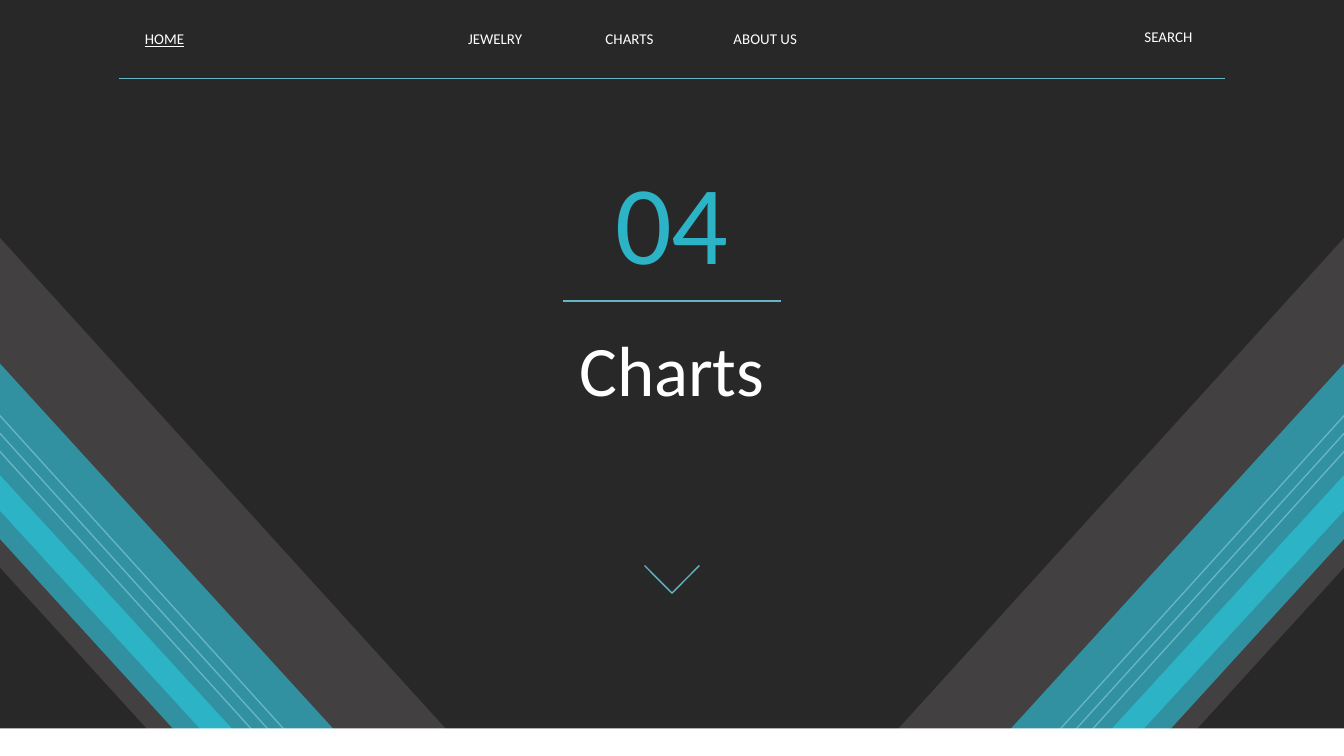
from lxml.etree import SubElement
from pptx import Presentation
from pptx.dml.color import RGBColor
from pptx.enum.shapes import MSO_CONNECTOR, MSO_SHAPE
from pptx.enum.text import MSO_ANCHOR as Anchor, PP_ALIGN as Align
from pptx.oxml.ns import qn
from pptx.util import Pt

WIDTH, HEIGHT = 720, 405
DARK, GREY, WHITE = "282828", "434042", "FFFFFF"
TEAL, CYAN, PALE = "3291A0", "2DB3C6", "65B5C5"
color = RGBColor.from_string

deck = Presentation()
deck.slide_width, deck.slide_height = Pt(WIDTH), Pt(HEIGHT)
page = deck.slides.add_slide(deck.slide_layouts[6])
page.background.fill.solid()
page.background.fill.fore_color.rgb = color(DARK)


def add_line(start, end):
    line = page.shapes.add_connector(
        MSO_CONNECTOR.STRAIGHT, *[Pt(value) for value in (*start, *end)])
    line.line.color.rgb = color(PALE)
    line.line.width = Pt(0.75)
    SubElement(line._element.spPr, qn("a:effectLst"))


def add_outline(points, closed):
    corners = [(Pt(x), Pt(y)) for x, y in points]
    builder = page.shapes.build_freeform(*corners[0])
    builder.add_line_segments(corners[1:], close=closed)
    shape = builder.convert_to_shape()
    shape.shadow.inherit = False
    return shape


# Corner stripes, given for the right side and mirrored to the left
cyan_band = [(671, 308.2), (693.4, 302.4), (791.3, 195.8), (787.7, 180.7)]
bands = [
    (GREY, [(763.2, 79.9), (797, 219.6), (640.8, 391), (436.3, 439.9)]),
    (TEAL, [(582.5, 404.6), (622.8, 395.3), (794.2, 207.4), (787.7, 180.7)]),
    (TEAL, [(513.4, 421.2), (605.5, 398.9), (791.3, 195.8), (776.2, 133.2)]),
]
stripe_lines = [
    [(810, 142.6), (532.8, 448.6)],
    [(807.8, 135.4), (522, 450.7)],
    [(805, 128.9), (507.6, 457.2)],
]
cyan_bands = [(CYAN, [(x + dx, y + dy) for x, y in cyan_band])
              for dx, dy in [(0, 0), (-23, 25.2), (-93.6, 102.2)]]

for mirrored in (False, True):
    def place(points):
        return [(WIDTH - x if mirrored else x, y) for x, y in points]

    for fill, points in bands:
        band = add_outline(place(points), True)
        band.fill.solid()
        band.fill.fore_color.rgb = color(fill)
        band.line.fill.background()
    for points in stripe_lines:
        add_line(*place(points))
    for fill, points in cyan_bands:
        band = add_outline(place(points), True)
        band.fill.solid()
        band.fill.fore_color.rgb = color(fill)
        band.line.fill.background()

# Header rule, footer bar, title rule and down arrow
add_line((64, 42), (656, 42))
footer = page.shapes.add_shape(
    MSO_SHAPE.RECTANGLE, 0, Pt(390.2), Pt(WIDTH), Pt(HEIGHT - 390.2))
footer.shadow.inherit = False
footer.fill.solid()
footer.fill.fore_color.rgb = color(WHITE)
footer.line.fill.background()
add_line((301.7, 161.3), (418.3, 161.3))
chevron = add_outline([(345.3, 303), (360, 317.8), (374.7, 303)], False)
chevron.fill.background()
chevron.line.color.rgb = color(PALE)
chevron.line.width = Pt(0.75)

# Text: wording, left, top, width, height, size, colour, side inset, anchor
menu = [("HOME", 56.2), ("JEWELRY", 233.3), ("CHARTS", 305.3), ("ABOUT US", 378)]
texts = [
    ("Charts", 158.4, 167, 403.2, 106.6, 38, WHITE, 7.2, Anchor.TOP),
    ("04", 301.7, 74.2, 116.6, 87.1, 60, CYAN, 7.2, Anchor.MIDDLE),
    *[(label, left, 14.6, 64, 12.2, 8, WHITE, 0, Anchor.MIDDLE)
      for label, left in menu],
    ("SEARCH", 594, 12.2, 64, 15.1, 8, WHITE, 0, Anchor.MIDDLE),
]
for wording, left, top, width, height, size, ink, inset, anchor in texts:
    box = page.shapes.add_textbox(Pt(left), Pt(top), Pt(width), Pt(height))
    frame = box.text_frame
    frame.word_wrap = True
    frame.vertical_anchor = anchor
    frame.margin_left = frame.margin_right = Pt(inset)
    frame.margin_top = frame.margin_bottom = Pt(7.2)
    para = frame.paragraphs[0]
    para.text = wording
    para.alignment = Align.CENTER
    para.font.name = "Calibri"
    para.font.size = Pt(size)
    para.font.color.rgb = color(ink)
    if wording == "HOME":
        para.font.underline = True

deck.save("out.pptx")
